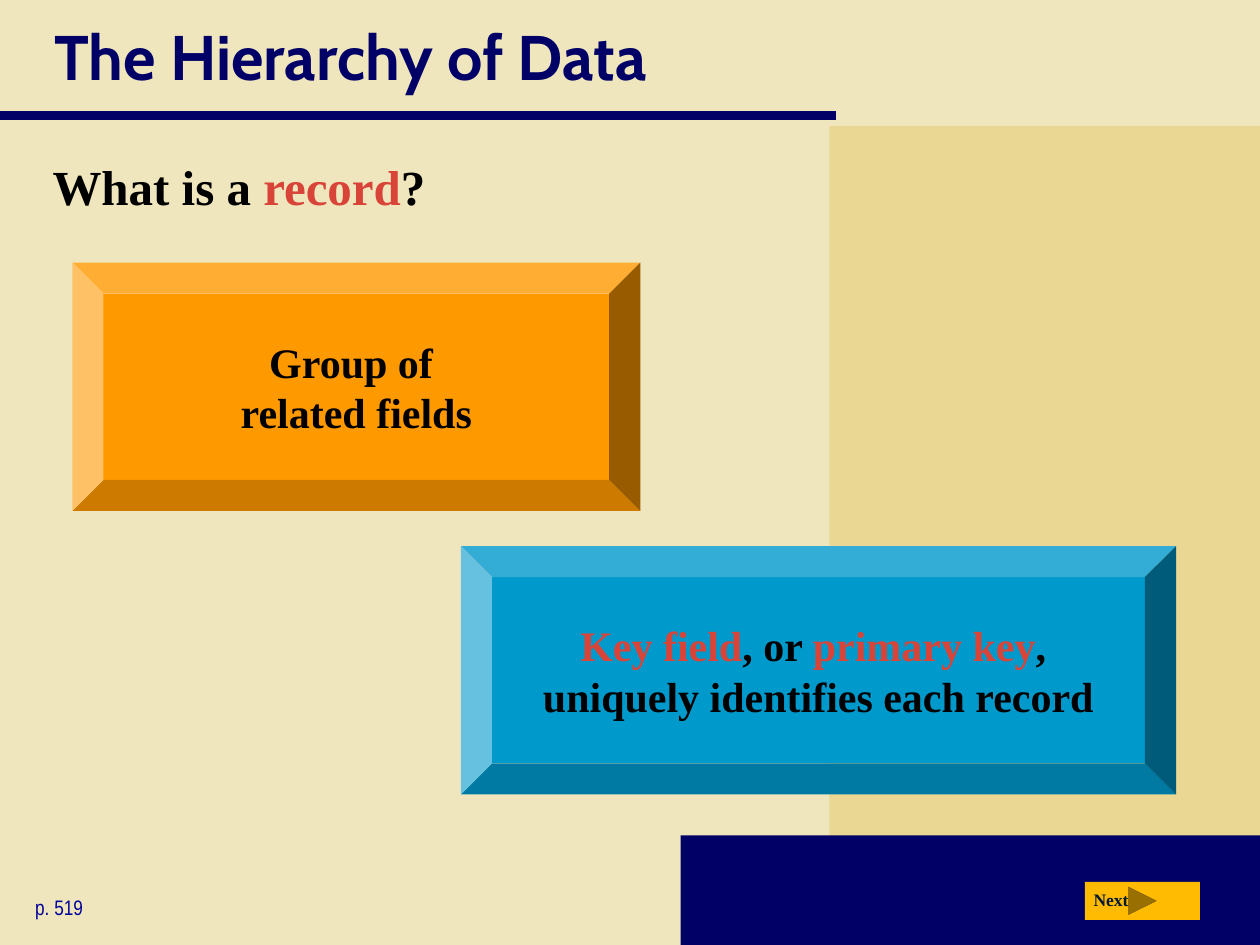
from dataclasses import dataclass

from lxml.etree import SubElement
from pptx import Presentation
from pptx.dml.color import RGBColor
from pptx.enum.shapes import MSO_CONNECTOR, MSO_SHAPE
from pptx.enum.text import MSO_ANCHOR, PP_ALIGN
from pptx.oxml.ns import qn
from pptx.util import Pt


@dataclass(frozen=True)
class Theme:
    background: str = "F0E6BE"
    panel: str = "E9D793"
    navy: str = "000066"
    black: str = "000000"
    highlight: str = "D94439"
    page: str = "000099"
    button: str = "FFBA02"
    button_text: str = "001932"
    orange: str = "FF9900"
    blue: str = "0099CC"
    title_size: float = 36
    question_size: float = 28
    box_size: float = 24
    page_size: float = 12
    button_size: float = 10
    title_font: str = "Cabin"
    body_font: str = "Times New Roman"
    page_font: str = "Arial Narrow"


THEME = Theme()


@dataclass(frozen=True)
class Area:
    left: float
    top: float
    width: float
    height: float

    def lengths(self) -> tuple:
        return tuple(Pt(n) for n in (self.left, self.top, self.width, self.height))


@dataclass(frozen=True)
class Style:
    size: float
    color: str = THEME.black
    font: str = THEME.body_font
    bold: bool = True


@dataclass(frozen=True)
class Block:
    area: Area
    fill: str
    kind: MSO_SHAPE = MSO_SHAPE.RECTANGLE


@dataclass(frozen=True)
class Caption:
    area: Area
    text: str
    style: Style
    anchor: MSO_ANCHOR = MSO_ANCHOR.TOP
    wrap: bool = True


@dataclass(frozen=True)
class BevelBox:
    block: Block
    text: str


PANELS = (
    Block(Area(474, 72, 246, 468), THEME.panel),
    Block(Area(389, 477.4, 331, 62.6), THEME.navy),
)
CAPTIONS = (
    Caption(Area(24, 0, 676, 63.5), "The Hierarchy of Data",
            Style(THEME.title_size, THEME.navy, THEME.title_font), MSO_ANCHOR.MIDDLE),
    Caption(Area(23, 85.7, 676, 57.6), "What is a *record*?", Style(THEME.question_size)),
    Caption(Area(13, 507.6, 121.7, 21.6), "p. 519",
            Style(THEME.page_size, THEME.page, THEME.page_font, False)),
)
BEVEL_BOXES = (
    BevelBox(Block(Area(41.4, 150, 324.5, 142), THEME.orange, MSO_SHAPE.BEVEL),
             "Group of \nrelated fields"),
    BevelBox(Block(Area(263.4, 312, 408.6, 142), THEME.blue, MSO_SHAPE.BEVEL),
             "*Key field*, or *primary key*, \nuniquely identifies each record"),
)
BUTTON = Block(Area(620, 504, 65.7, 21.6), THEME.button,
               MSO_SHAPE.ACTION_BUTTON_FORWARD_OR_NEXT)
BUTTON_LABEL = Caption(Area(617.8, 504.7, 36.7, 19.4), "Next",
                       Style(THEME.button_size, THEME.button_text), wrap=False)


def write_text(paragraph, text: str, style: Style) -> None:
    """Write the text; parts between asterisks take the highlight colour."""
    for index, part in enumerate(text.split("*")):
        color = THEME.highlight if index % 2 else style.color
        for line_number, line in enumerate(part.split("\n")):
            if line_number:
                paragraph.add_line_break()
            if not line:
                continue
            run = paragraph.add_run()
            run.text = line
            format_values = {"name": style.font, "size": Pt(style.size), "bold": style.bold}
            for name, value in format_values.items():
                setattr(run.font, name, value)
            run.font.color.rgb = RGBColor.from_string(color)


def add_block(shapes, block: Block):
    shape = shapes.add_shape(block.kind, *block.area.lengths())
    shape.shadow.inherit = False
    shape.fill.solid()
    shape.fill.fore_color.rgb = RGBColor.from_string(block.fill)
    shape.line.fill.background()
    return shape


def add_caption(shapes, caption: Caption) -> None:
    frame = shapes.add_textbox(*caption.area.lengths()).text_frame
    frame.word_wrap = caption.wrap
    frame.vertical_anchor = caption.anchor
    write_text(frame.paragraphs[0], caption.text, caption.style)


def add_bevel_box(shapes, box: BevelBox) -> None:
    shape = add_block(shapes, box.block)
    shape.adjustments[0] = 0.125
    frame = shape.text_frame
    frame.word_wrap = False
    frame.vertical_anchor = MSO_ANCHOR.MIDDLE
    paragraph = frame.paragraphs[0]
    paragraph.alignment = PP_ALIGN.CENTER
    write_text(paragraph, box.text, Style(THEME.box_size))


def add_title_rule(shapes) -> None:
    rule = shapes.add_connector(MSO_CONNECTOR.STRAIGHT, Pt(0), Pt(66), Pt(478), Pt(66))
    rule.line.width = Pt(5)
    rule.line.color.rgb = RGBColor.from_string(THEME.navy)
    SubElement(rule._element.spPr, qn("a:effectLst"))


def main() -> None:
    presentation = Presentation()
    presentation.slide_width, presentation.slide_height = Pt(720), Pt(540)
    slide = presentation.slides.add_slide(presentation.slide_layouts[6])
    slide.background.fill.solid()
    slide.background.fill.fore_color.rgb = RGBColor.from_string(THEME.background)

    for panel in PANELS:
        add_block(slide.shapes, panel)
    add_title_rule(slide.shapes)
    for caption in CAPTIONS:
        add_caption(slide.shapes, caption)
    next_button = slide.shapes.add_group_shape()
    add_block(next_button.shapes, BUTTON)
    add_caption(next_button.shapes, BUTTON_LABEL)
    for box in BEVEL_BOXES:
        add_bevel_box(slide.shapes, box)

    presentation.save("out.pptx")


if __name__ == "__main__":
    main()
